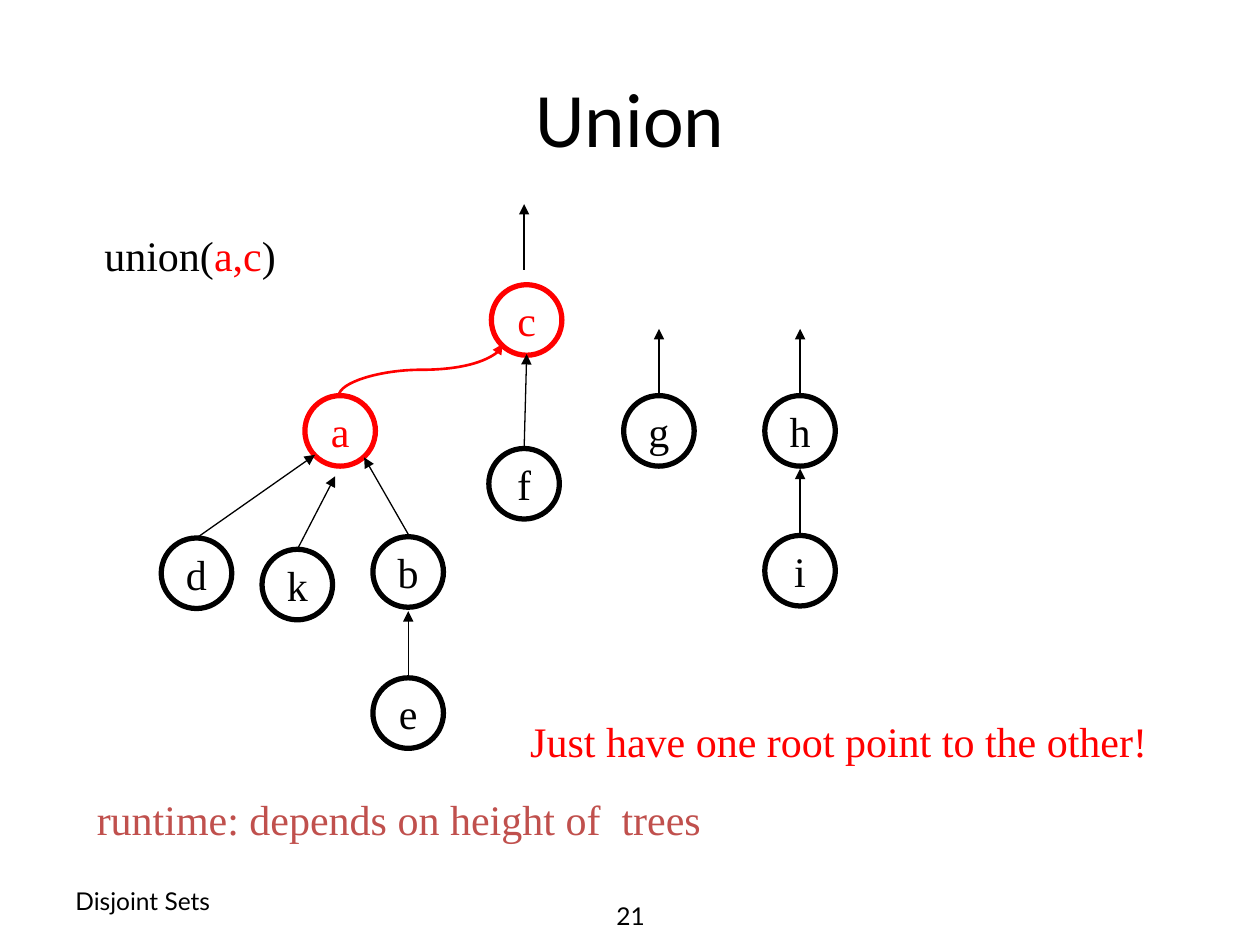
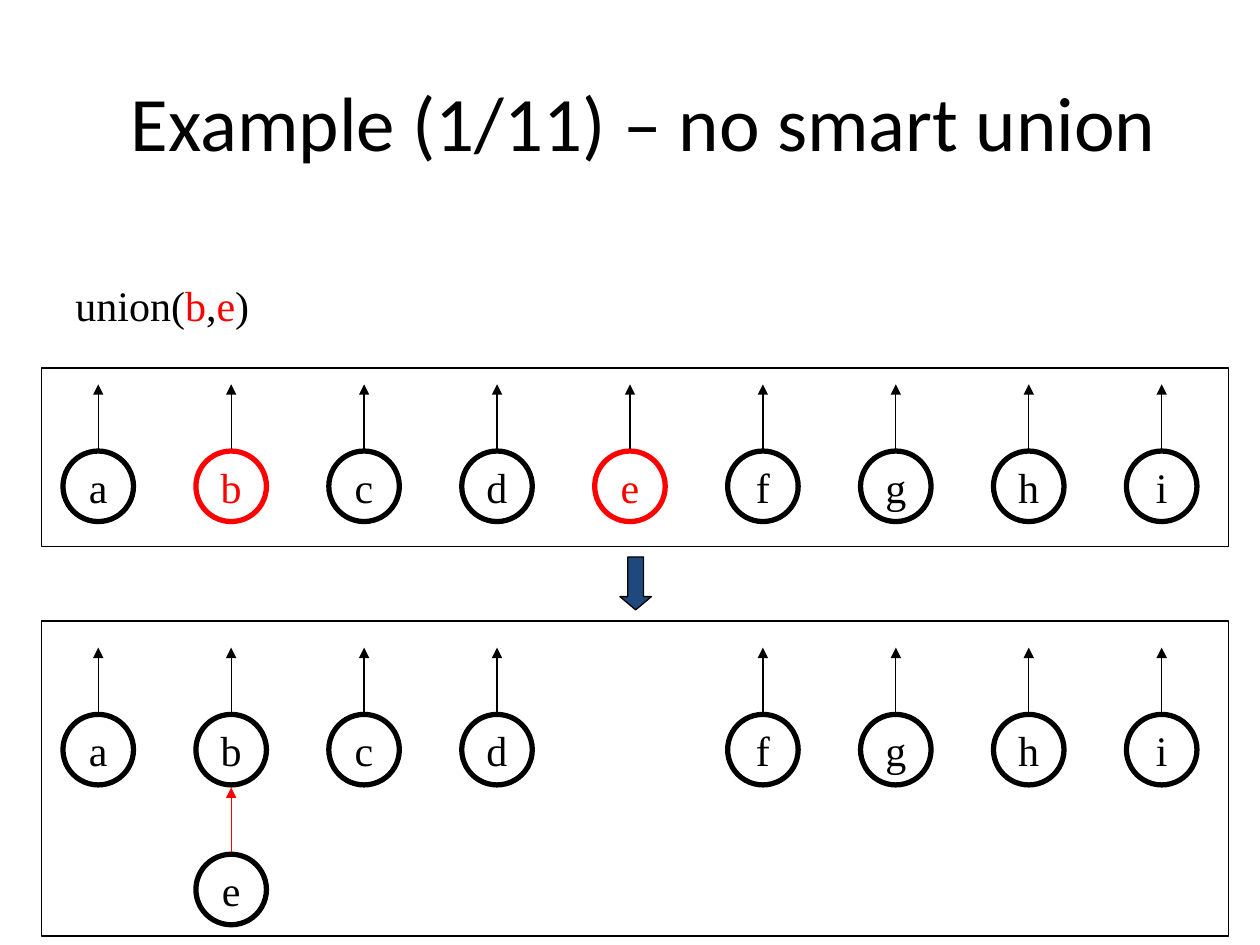
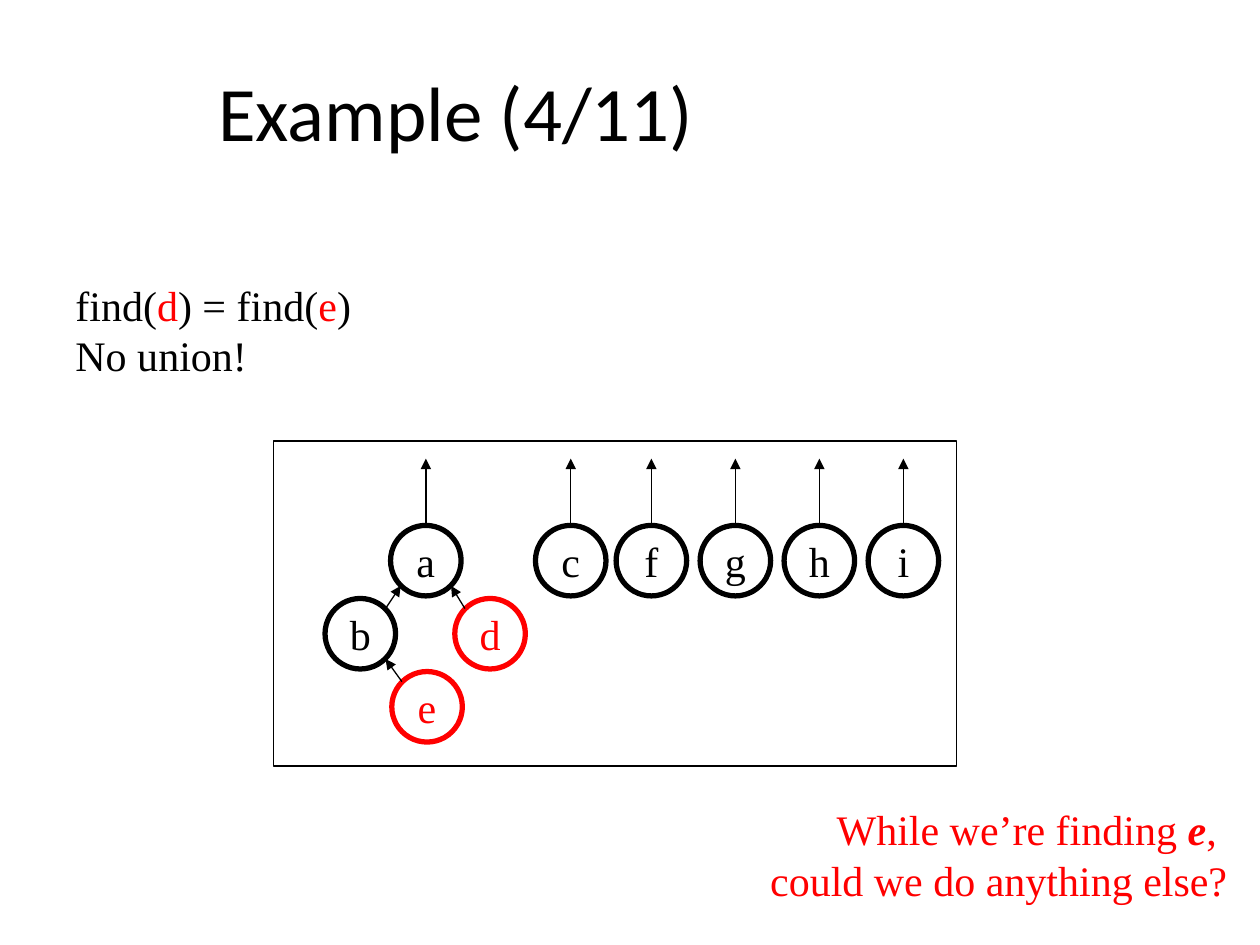
"""Builds three slides on union and find in disjoint sets."""
from lxml import etree
from pptx import Presentation
from pptx.dml.color import RGBColor
from pptx.enum.shapes import MSO_CONNECTOR, MSO_SHAPE
from pptx.enum.text import MSO_ANCHOR, MSO_AUTO_SIZE, PP_ALIGN
from pptx.oxml.ns import qn
from pptx.util import Inches, Pt

STRAIGHT, CURVE = MSO_CONNECTOR.STRAIGHT, MSO_CONNECTOR.CURVE
OVAL, RECTANGLE, DOWN_ARROW = MSO_SHAPE.OVAL, MSO_SHAPE.RECTANGLE, MSO_SHAPE.DOWN_ARROW
LEFT, CENTER, RIGHT = PP_ALIGN.LEFT, PP_ALIGN.CENTER, PP_ALIGN.RIGHT
MIDDLE = MSO_ANCHOR.MIDDLE
FIT_SHAPE = MSO_AUTO_SIZE.SHAPE_TO_FIT_TEXT

COLORS = {"ink": "000000", "mark": "FF0000", "runtime": "C0504D",
          "arrow": "1F497D", "paper": "FFFFFF"}
TITLE_FONT, FOOTER_FONT, TEXT_FONT = "Calibri", "Lato", "Times New Roman"
TITLE_ONLY = 5
NODE = 0.56            # node diameter
STEM = (0.3, 0.81)     # start and end of an upward arrow, above a node centre
CORNER = 0.2           # reach of a slanting arrow's end from a node centre


def rgb(color):
    """Return the named colour."""
    return RGBColor.from_string(COLORS[color])


def set_font(font, name, size, color="ink"):
    """Set the face, size and colour of a font."""
    font.name, font.size = name, Pt(size)
    font.color.rgb = rgb(color)


def add_page(deck, title, box):
    """Add a slide whose title fills the given box."""
    page = deck.slides.add_slide(deck.slide_layouts[TITLE_ONLY])
    heading = page.shapes.title
    heading.left, heading.top, heading.width, heading.height = map(Inches, box)
    heading.text_frame.text = title
    heading.text_frame.vertical_anchor = MIDDLE
    para = heading.text_frame.paragraphs[0]
    para.alignment = CENTER
    set_font(para.font, TITLE_FONT, 44)
    return page


def add_text(shapes, box, lines, align=LEFT):
    """Add unwrapped text; each line is a list of (text, colour, emphasised)."""
    frame = shapes.add_textbox(*map(Inches, box)).text_frame
    frame.word_wrap = False
    frame.auto_size = FIT_SHAPE
    for index, line in enumerate(lines):
        para = frame.add_paragraph() if index else frame.paragraphs[0]
        para.alignment = align
        para.font.name, para.font.size = TEXT_FONT, Pt(24)
        for text, color, emphasised in line:
            span = para.add_run()
            span.text = text
            set_font(span.font, TEXT_FONT, 24, color)
            if emphasised:
                span.font.bold = span.font.italic = True


def plain(text, color="ink"):
    """Return one span without emphasis."""
    return text, color, False


def add_footer(shapes, box, text, align):
    """Add one footer entry."""
    frame = shapes.add_textbox(*map(Inches, box)).text_frame
    frame.word_wrap = True
    frame.vertical_anchor = MIDDLE
    frame.text = text
    para = frame.paragraphs[0]
    para.alignment = align
    set_font(para.font, FOOTER_FONT, 14)


def add_outline(shapes, kind, box, color="ink", width=0.75, fill=None):
    """Add an outlined shape, hollow unless a fill is named."""
    shape = shapes.add_shape(kind, *map(Inches, box))
    shape.shadow.inherit = False
    shape.line.color.rgb = rgb(color)
    shape.line.width = Pt(width)
    if fill:
        shape.fill.solid()
        shape.fill.fore_color.rgb = rgb(fill)
    else:
        shape.fill.background()
    return shape


def add_node(shapes, center, label, color="ink"):
    """Add a ring with a letter around a centre."""
    box = (center[0] - NODE / 2, center[1] - NODE / 2, NODE, NODE)
    frame = add_outline(shapes, OVAL, box, color, 3).text_frame
    frame.word_wrap = False
    frame.vertical_anchor = MIDDLE
    frame.text = label
    para = frame.paragraphs[0]
    para.alignment = CENTER
    set_font(para.font, TEXT_FONT, 24, color)


def add_arrow(shapes, start, end, color="ink", width=0.75, kind=STRAIGHT):
    """Add a line with an arrowhead at its end."""
    arrow = shapes.add_connector(kind, *map(Inches, (*start, *end)))
    arrow.line.color.rgb = rgb(color)
    arrow.line.width = Pt(width)
    line = arrow.line._ln
    etree.SubElement(line, qn("a:tailEnd"), type="triangle")
    etree.SubElement(line.getparent(), qn("a:effectLst"))
    return arrow


def add_rising_curve(shapes, start, end, color, width):
    """Add an S-curve that leaves and arrives vertically, by a quarter turn."""
    middle_x, middle_y = (start[0] + end[0]) / 2, (start[1] + end[1]) / 2
    half_x, half_y = (end[0] - start[0]) / 2, (start[1] - end[1]) / 2
    curve = add_arrow(shapes, (middle_x + half_y, middle_y + half_x),
                      (middle_x - half_y, middle_y - half_x), color, width, CURVE)
    curve._element.find(".//" + qn("a:xfrm")).set("rot", str(90 * 60000))


def add_stem(shapes, center, color="ink"):
    """Add the upward arrow above a node."""
    x, y = center
    add_arrow(shapes, (x, y - STEM[0]), (x, y - STEM[1]), color)


def add_slant(shapes, child, parent):
    """Add an arrow from a child's upper corner to its parent's lower corner."""
    side = CORNER if parent[0] > child[0] else -CORNER
    add_arrow(shapes, (child[0] + side, child[1] - CORNER),
              (parent[0] - side, parent[1] + CORNER))


def add_forest(shapes, left, top):
    """Draw the trees in which root a is hung below root c."""
    centers = {"a": (1.42, 1.8), "c": (2.9, 0.92), "g": (3.95, 1.8), "h": (5.07, 1.8),
               "d": (0.28, 2.93), "b": (1.96, 2.92), "e": (1.96, 4.04),
               "f": (2.88, 2.22), "i": (5.07, 2.91), "k": (1.08, 3.02)}
    slants = [((2.88, 0.52), (2.88, 0)), ((0.28, 2.65), (1.22, 1.99)),
              ((1.96, 2.62), (1.61, 2.01)), ((1.08, 2.74), (1.38, 2.16)),
              ((2.88, 1.94), (2.9, 1.19))]

    def place(point):
        return left + point[0], top + point[1]

    for label, center in centers.items():
        add_node(shapes, place(center), label, "mark" if label in "ac" else "ink")
        if label in "ghie":
            add_stem(shapes, place(center))
    for start, end in slants:
        add_arrow(shapes, place(start), place(end))
    add_rising_curve(shapes, place((1.41, 1.52)), place((2.71, 1.11)), "mark", 1.5)


def add_row(shapes, box, drop, labels, marked=""):
    """Draw a framed row of roots, a space leaving a gap; return the centres."""
    left, top, width, _ = box
    margin = 0.45
    pitch = (width - 0.53 - margin) / (len(labels) - 1)
    centers = {}
    for index, label in enumerate(labels):
        if label == " ":
            continue
        centers[label] = (left + margin + index * pitch, top + drop)
        add_node(shapes, centers[label], label, "mark" if label in marked else "ink")
        add_stem(shapes, centers[label])
    add_outline(shapes, RECTANGLE, box)
    return centers


def add_tree_panel(shapes, box):
    """Draw the framed forest with root a and five single roots."""
    left, top = box[:2]
    add_outline(shapes, RECTANGLE, box, fill="paper")
    root_y = top + 0.95
    centers = {"a": (left + 1.21, root_y), "c": (left + 2.36, root_y)}
    for index, label in enumerate("fghi"):
        centers[label] = (left + 3 + index * 2 / 3, root_y)
    for label, center in centers.items():
        add_node(shapes, center, label)
        add_stem(shapes, center)
    children = [("b", "a", 0.69, 1.53, "ink"), ("d", "a", 1.72, 1.53, "mark"),
                ("e", "b", 1.22, 2.11, "mark")]
    for label, parent, x, y, color in children:
        centers[label] = (left + x, top + y)
        add_node(shapes, centers[label], label, color)
        add_slant(shapes, centers[label], centers[parent])


def build_union(deck):
    """Slide on joining two roots."""
    shapes = add_page(deck, "Union", (0.5, 0.3, 9, 1.25)).shapes
    add_footer(shapes, (0.5, 6.95, 2.33, 0.4), "Disjoint Sets", LEFT)
    add_footer(shapes, (3.42, 7.07, 3.17, 0.4), "21", CENTER)
    add_forest(shapes, 1.28, 1.62)
    add_text(shapes, (0.73, 1.77, 1.56, 0.5),
             [[plain("union("), plain("a,c", "mark"), plain(")")]])
    add_text(shapes, (4.11, 5.63, 5.14, 0.5),
             [[plain("Just have one root point to the other!", "mark")]])
    add_text(shapes, (0.67, 6.25, 5.04, 0.5),
             [[plain("runtime: depends on height of  trees", "runtime")]])


def build_first_example(deck):
    """Slide with the roots before and after one union."""
    page = add_page(deck, "Example (1/11) – no smart union", (0.47, 0.33, 9.28, 1.25))
    shapes = page.shapes
    add_text(shapes, (0.5, 2.17, 1.58, 0.5),
             [[plain("union("), plain("b", "mark"), plain(","),
               plain("e", "mark"), plain(")")]])
    add_row(shapes, (0.33, 2.92, 9.42, 1.42), 0.94, "abcdefghi", "be")
    step = add_outline(shapes, DOWN_ARROW, (4.92, 4.42, 0.25, 0.42), fill="arrow")
    step.adjustments[1] = 0.42
    centers = add_row(shapes, (0.33, 4.93, 9.42, 2.5), 1.02, "abcd fghi")
    child = (centers["b"][0], centers["b"][1] + 1.11)
    add_node(shapes, child, "e")
    add_stem(shapes, child, "mark")


def build_fourth_example(deck):
    """Slide where both finds reach the same root."""
    shapes = add_page(deck, "Example (4/11)", (0.08, 0.25, 7.08, 1.25)).shapes
    add_text(shapes, (0.5, 2.17, 2.39, 0.9),
             [[plain("find("), plain("d", "mark"), plain(") = find("),
               plain("e", "mark"), plain(")")], [plain("No union!")]])
    group = shapes.add_group_shape().shapes
    add_tree_panel(group, (2.17, 3.5, 5.42, 2.58))
    add_text(group, (6.01, 6.33, 3.83, 0.9),
             [[plain("While we’re finding ", "mark"), ("e", "mark", True),
               plain(", ", "mark")], [plain("could we do anything else?", "mark")]],
             RIGHT)


def main():
    """Build and save the deck."""
    deck = Presentation()
    deck.slide_width, deck.slide_height = Inches(10), Inches(7.5)
    build_union(deck)
    build_first_example(deck)
    build_fourth_example(deck)
    deck.save("out.pptx")


main()
